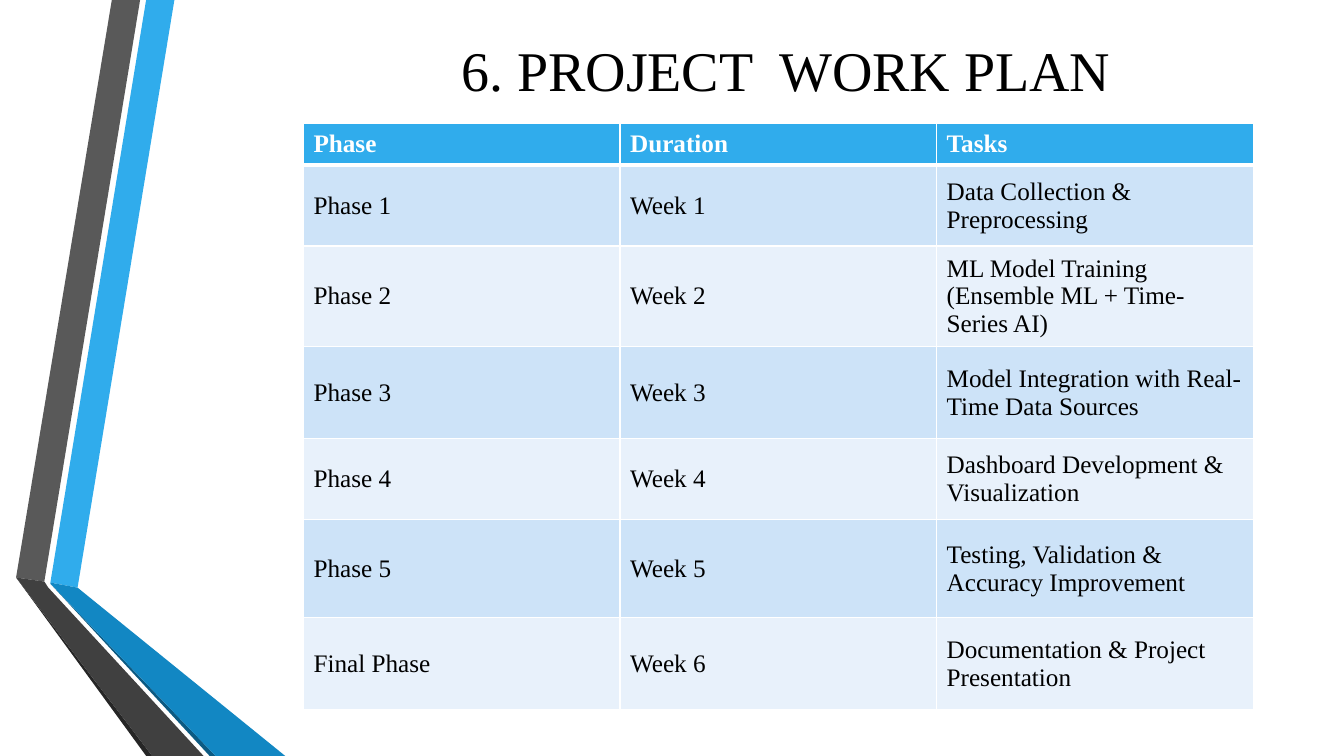
from lxml.etree import SubElement
from pptx import Presentation
from pptx.dml.color import RGBColor
from pptx.enum.text import MSO_ANCHOR, PP_ALIGN
from pptx.oxml.ns import qn
from pptx.util import Inches, Pt

HUES = {
    "sky": "30ACEC", "blue": "1287C3", "navy": "0C5A82",
    "gray": "595959", "dark": "404040", "coal": "262626",
    "pale": "CDE3F8", "mist": "E8F1FB", "white": "FFFFFF", "black": "000000",
}
BANDS = [
    ("sky", [(0.5, 5.78), (0.77, 5.83), (1.73, 0), (1.45, 0)]),
    ("gray", [(1.39, 0), (1.11, 0), (0.16, 5.73), (0.44, 5.77)]),
    ("coal", [(0.16, 5.73), (1.45, 7.5), (1.51, 7.5)]),
    ("navy", [(0.5, 5.79), (2.08, 7.5), (2.14, 7.5)]),
    ("blue", [(0.5, 5.79), (2.14, 7.5), (2.83, 7.5), (0.77, 5.83), (0.5, 5.78)]),
    ("dark", [(2.02, 7.5), (0.48, 5.83), (0.44, 5.77), (0.16, 5.73), (1.51, 7.5)]),
]
HEADS = ["Phase", "Duration", "Tasks"]
TASKS = [
    "Data Collection & Preprocessing",
    "ML Model Training (Ensemble ML + Time-Series AI)",
    "Model Integration with Real-Time Data Sources",
    "Dashboard Development & Visualization",
    "Testing, Validation & Accuracy Improvement",
    "Documentation & Project Presentation",
]
HIGHS = [0.42, 0.8, 0.96, 0.91, 0.8, 0.98, 0.91]
WIDE = 3.14


def tint(name):
    """Return the named colour."""
    return RGBColor.from_string(HUES[name])


def paint(item, name):
    """Fill a shape or cell with a plain colour."""
    item.fill.solid()
    item.fill.fore_color.rgb = tint(name)


def write(frame, text, hue, align=PP_ALIGN.LEFT, **form):
    """Put one styled run into a text frame."""
    para = frame.paragraphs[0]
    para.alignment = align
    run = para.add_run()
    run.text = text
    for key, value in {"name": "Times New Roman", **form}.items():
        setattr(run.font, key, value)
    run.font.color.rgb = tint(hue)


def add_band(slide, hue, spots):
    """Draw one flat piece of the side ribbon."""
    spots = [(Inches(x), Inches(y)) for x, y in spots]
    pen = slide.shapes.build_freeform(*spots[0])
    pen.add_line_segments(spots[1:], close=True)
    band = pen.convert_to_shape()
    band.shadow.inherit = False
    band.line.fill.background()
    paint(band, hue)


def add_title(slide, text):
    """Add the centred heading."""
    box = slide.shapes.add_textbox(Inches(3.01), Inches(0.3), Inches(9.57), Inches(0.78))
    frame = box.text_frame
    for key, value in {"word_wrap": True, "vertical_anchor": MSO_ANCHOR.MIDDLE}.items():
        setattr(frame, key, value)
    write(frame, text, "black", PP_ALIGN.CENTER, size=Pt(40))


def edge(cell, base):
    """Draw white borders, with the bottom one of a given width."""
    props = cell._tc.get_or_add_tcPr()
    for side, width in {"L": 1, "R": 1, "T": 1, "B": base}.items():
        line = SubElement(props, qn(f"a:ln{side}"), w=str(Pt(width)))
        fill = SubElement(line, qn("a:solidFill"))
        SubElement(fill, qn("a:srgbClr"), val=HUES["white"])


def add_plan(slide, rows):
    """Add the work plan table."""
    frame = slide.shapes.add_table(
        len(rows), len(HEADS), Inches(3.01), Inches(1.22),
        Inches(WIDE * len(HEADS)), Inches(sum(HIGHS)))
    table = frame.table
    for row, high in zip(table.rows, HIGHS):
        row.height = Inches(high)
    for col in table.columns:
        col.width = Inches(WIDE)
    for i, texts in enumerate(rows):
        head = i == 0
        for j, text in enumerate(texts):
            cell = table.cell(i, j)
            edge(cell, 3 if head else 1)
            paint(cell, "sky" if head else "pale" if i % 2 else "mist")
            cell.vertical_anchor = MSO_ANCHOR.MIDDLE
            write(cell.text_frame, text, "white" if head else "black",
                  size=Pt(18), bold=head)


def main():
    """Build and save the slide."""
    deck = Presentation()
    deck.slide_width, deck.slide_height = Inches(13.33), Inches(7.5)
    slide = deck.slides.add_slide(deck.slide_layouts[6])
    for hue, spots in BANDS:
        add_band(slide, hue, spots)
    add_title(slide, "6. PROJECT  WORK PLAN")
    rows = [HEADS]
    for week, task in enumerate(TASKS, 1):
        phase = "Final Phase" if week == len(TASKS) else f"Phase {week}"
        rows.append([phase, f"Week {week}", task])
    add_plan(slide, rows)
    deck.save("out.pptx")


if __name__ == "__main__":
    main()
